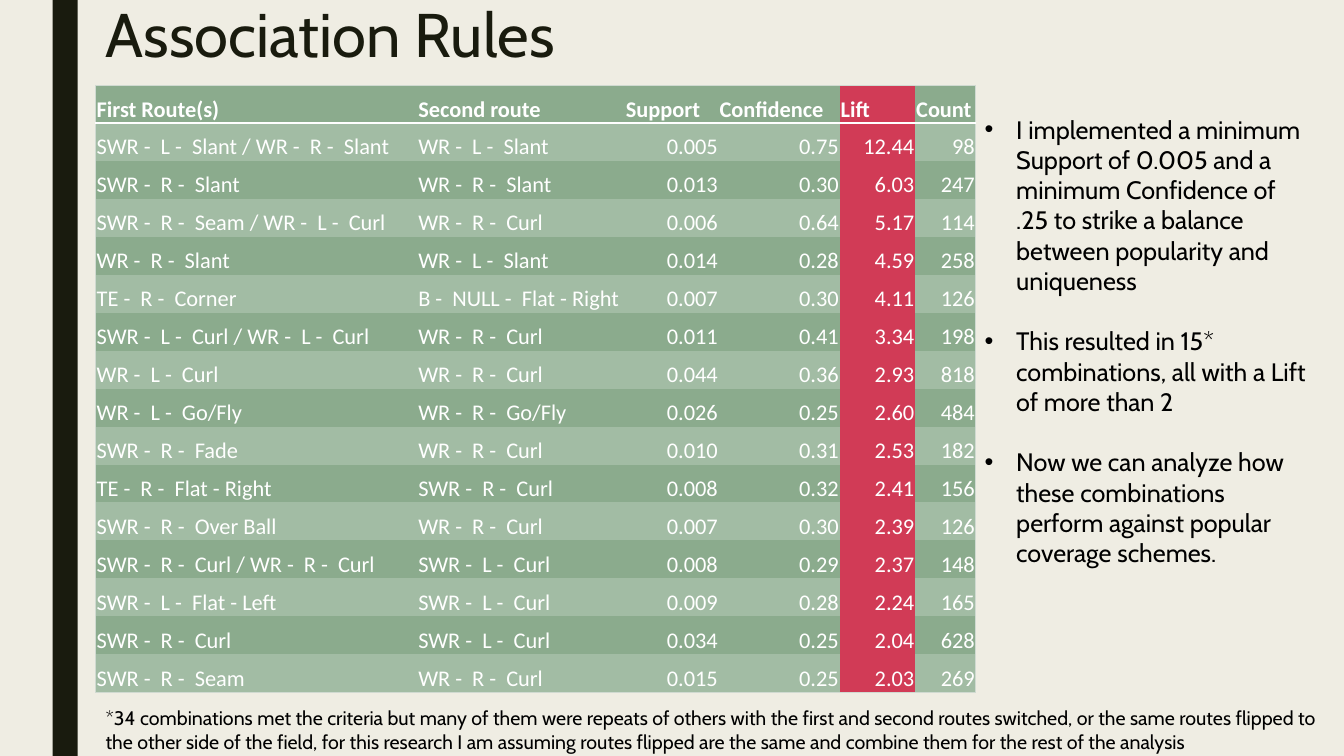
from lxml import etree
from pptx import Presentation
from pptx.dml.color import RGBColor
from pptx.enum import shapes, text
from pptx.oxml import ns
from pptx.util import Pt

TITLE = "Association Rules"
HEADER = ("First Route(s)", "Second route", "Support", "Confidence", "Lift", "Count")
RULES = [
    ("SWR -  L -  Slant / WR -  R -  Slant", "WR -  L -  Slant", "0.005", "0.75", "12.44", "98"),
    ("SWR -  R -  Slant", "WR -  R -  Slant", "0.013", "0.30", "6.03", "247"),
    ("SWR -  R -  Seam / WR -  L -  Curl", "WR -  R -  Curl", "0.006", "0.64", "5.17", "114"),
    ("WR -  R -  Slant", "WR -  L -  Slant", "0.014", "0.28", "4.59", "258"),
    ("TE -  R -  Corner", "B -  NULL -  Flat - Right", "0.007", "0.30", "4.11", "126"),
    ("SWR -  L -  Curl / WR -  L -  Curl", "WR -  R -  Curl", "0.011", "0.41", "3.34", "198"),
    ("WR -  L -  Curl", "WR -  R -  Curl", "0.044", "0.36", "2.93", "818"),
    ("WR -  L -  Go/Fly", "WR -  R -  Go/Fly", "0.026", "0.25", "2.60", "484"),
    ("SWR -  R -  Fade", "WR -  R -  Curl", "0.010", "0.31", "2.53", "182"),
    ("TE -  R -  Flat - Right", "SWR -  R -  Curl", "0.008", "0.32", "2.41", "156"),
    ("SWR -  R -  Over Ball", "WR -  R -  Curl", "0.007", "0.30", "2.39", "126"),
    ("SWR -  R -  Curl / WR -  R -  Curl", "SWR -  L -  Curl", "0.008", "0.29", "2.37", "148"),
    ("SWR -  L -  Flat - Left", "SWR -  L -  Curl", "0.009", "0.28", "2.24", "165"),
    ("SWR -  R -  Curl", "SWR -  L -  Curl", "0.034", "0.25", "2.04", "628"),
    ("SWR -  R -  Seam", "WR -  R -  Curl", "0.015", "0.25", "2.03", "269"),
]
POINTS = [
    "I implemented a minimum Support of 0.005 and a minimum Confidence of .25 "
    "to strike a balance between popularity and uniqueness",
    "This resulted in 15* combinations, all with a Lift of more than 2",
    "Now we can analyze how these combinations perform against popular coverage schemes.",
]
FOOTNOTE = (
    "*34 combinations met the criteria but many of them were repeats of others with the first "
    "and second routes switched, or the same routes flipped to the other side of the field, for "
    "this research I am assuming routes flipped are the same and combine them for the rest of the analysis"
)
COLORS = {
    "background": "EFEDE3", "ink": "191B0E", "black": "000000", "white": "FFFFFF",
    "row": "8BAB8D", "band": "A2BCA4", "lift": "D13B56", "edge": "D0DAD1",
}
COL_WIDTHS = (229.7, 148.3, 67, 86.4, 54, 43.2)
ROW_HEIGHT = 27.1
LEFT = 68.4
LIFT_COL = HEADER.index("Lift")
NO_STYLE = "{2D5ABB26-0587-4C30-8999-92F81FD0307C}"


def rgb(name):
    return RGBColor.from_string(COLORS[name])


def place(s, left, top, width, height):
    s.left, s.top, s.width, s.height = Pt(left), Pt(top), Pt(width), Pt(height)


def add_run(p, words, size, color, font="Cabin", bold=False):
    r = p.add_run()
    r.text = words
    r.font.size, r.font.name, r.font.bold = Pt(size), font, bold
    r.font.color.rgb = rgb(color)


def setup_frame(tf):
    tf.word_wrap = True
    tf.auto_size = text.MSO_AUTO_SIZE.NONE
    tf.vertical_anchor = text.MSO_ANCHOR.TOP


def add_border(cell, side, color, width):
    tcPr = cell._tc.get_or_add_tcPr()
    ln = etree.SubElement(tcPr, ns.qn("a:ln" + side), w=str(Pt(width)))
    fill = etree.SubElement(ln, ns.qn("a:solidFill"))
    etree.SubElement(fill, ns.qn("a:srgbClr"), val=COLORS[color])


def fill_color(row, col):
    if col == LIFT_COL:
        return "lift"
    return "band" if row % 2 else "row"


prs = Presentation()
prs.slide_width, prs.slide_height = Pt(960), Pt(540)
slide = prs.slides.add_slide(prs.slide_layouts[1])
slide.background.fill.solid()
slide.background.fill.fore_color.rgb = rgb("background")

bar = slide.shapes.add_shape(shapes.MSO_SHAPE.RECTANGLE, Pt(37.5), 0, Pt(18), Pt(540))
bar.shadow.inherit = False
bar.fill.solid()
bar.fill.fore_color.rgb = rgb("ink")
bar.line.fill.background()

s = slide.shapes.title
place(s, LEFT, 0, 756, 60)
setup_frame(s.text_frame)
p = s.text_frame.paragraphs[0]
p.alignment = text.PP_ALIGN.LEFT
p.line_spacing = 0.89
add_run(p, TITLE, 44, "ink")

rows = [HEADER] + RULES
last_row, last_col = len(rows) - 1, len(HEADER) - 1
s = slide.shapes.add_table(len(rows), len(HEADER), Pt(LEFT), Pt(60.8),
                           Pt(sum(COL_WIDTHS)), Pt(ROW_HEIGHT * len(rows)))
table = s.table
table.horz_banding = False
table._tbl.tblPr.find(ns.qn("a:tableStyleId")).text = NO_STYLE
for column, width in zip(table.columns, COL_WIDTHS):
    column.width = Pt(width)
for i, values in enumerate(rows):
    table.rows[i].height = Pt(ROW_HEIGHT)
    for j, value in enumerate(values):
        cell = table.cell(i, j)
        cell.margin_left = cell.margin_right = cell.margin_top = Pt(0.7)
        cell.margin_bottom = 0
        cell.vertical_anchor = text.MSO_ANCHOR.BOTTOM
        if j == 0:
            add_border(cell, "L", "edge", 0.5)
        if j == last_col:
            add_border(cell, "R", "edge", 0.5)
        if i == 0:
            add_border(cell, "T", "edge", 0.5)
            add_border(cell, "B", "white", 1.5)
        if i == last_row:
            add_border(cell, "B", "edge", 0.5)
        cell.fill.solid()
        cell.fill.fore_color.rgb = rgb(fill_color(i, j))
        p = cell.text_frame.paragraphs[0]
        numeric = i > 0 and j > 1
        p.alignment = text.PP_ALIGN.RIGHT if numeric else text.PP_ALIGN.LEFT
        add_run(p, value, 16, "white", "Calibri", i == 0)

s = slide.placeholders[1]
place(s, 696.2, 77.8, 249, 312.5)
tf = s.text_frame
setup_frame(tf)
for i, point in enumerate(POINTS):
    p = tf.add_paragraph() if i else tf.paragraphs[0]
    p.space_before = Pt(21.6 if i else 0)
    pPr = p._p.get_or_add_pPr()
    pPr.set("marL", str(Pt(22.5)))
    pPr.set("indent", str(Pt(-22.5)))
    etree.SubElement(pPr, ns.qn("a:buFont"), typeface="Arial")
    etree.SubElement(pPr, ns.qn("a:buChar"), char="•")
    add_run(p, point, 18, "black")

s = slide.shapes.add_textbox(Pt(LEFT), Pt(501), Pt(892), Pt(41))
setup_frame(s.text_frame)
add_run(s.text_frame.paragraphs[0], FOOTNOTE, 14, "black")

prs.save("out.pptx")
